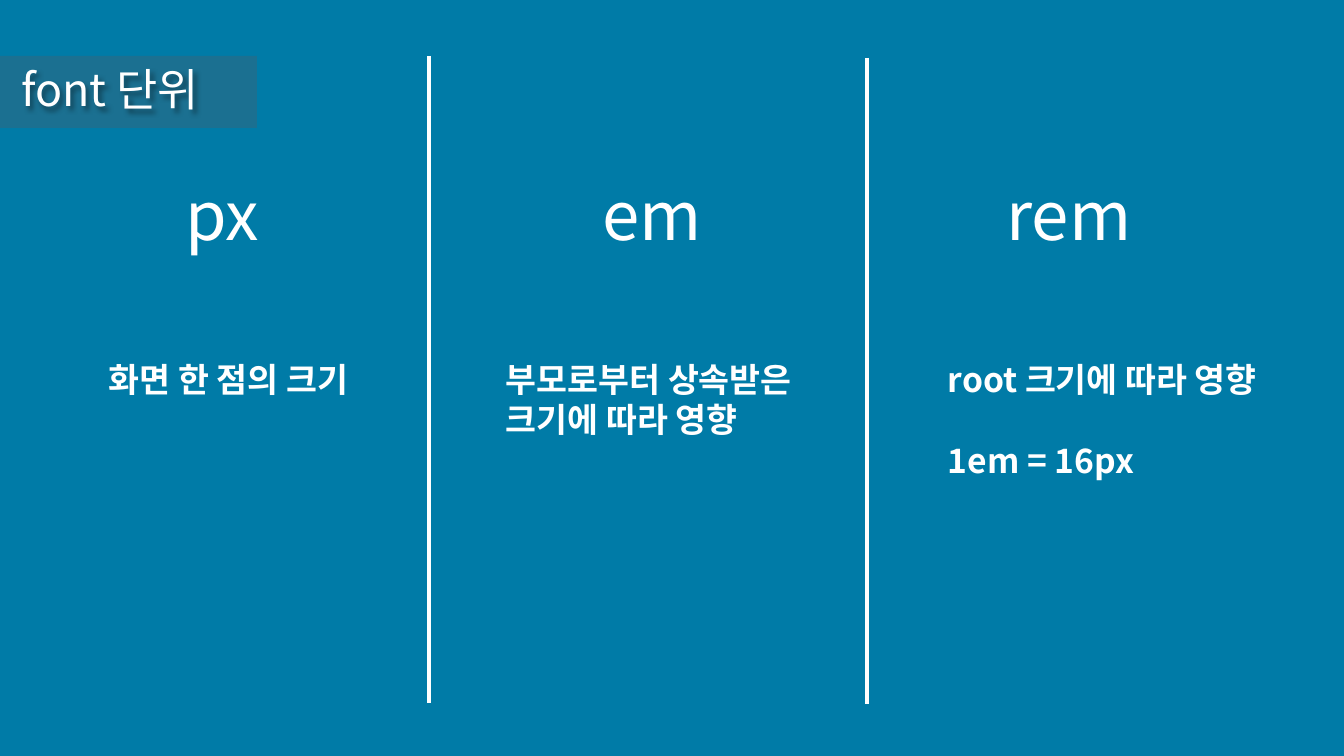
from lxml import etree
from pptx import Presentation
from pptx.dml.color import RGBColor
from pptx.enum.shapes import MSO_CONNECTOR, MSO_SHAPE
from pptx.enum.text import MSO_ANCHOR, PP_ALIGN
from pptx.oxml.ns import qn
from pptx.util import Pt

RECTANGLE = MSO_SHAPE.RECTANGLE
STRAIGHT = MSO_CONNECTOR.STRAIGHT
TOP = MSO_ANCHOR.TOP
LEFT, CENTER = PP_ALIGN.LEFT, PP_ALIGN.CENTER

WIDTH, HEIGHT = 1344, 756
EMU_PER_PX = 12192000 / WIDTH
FONT = "Noto Sans CJK KR"
WHITE = "FFFFFF"


def px(*lengths):
    return [round(length * EMU_PER_PX) for length in lengths]


def write(shape, lines, size, bold=False, align=LEFT, gap=0):
    frame = shape.text_frame
    frame.word_wrap = True
    frame.vertical_anchor = TOP
    frame.text = "\n".join(lines)
    for index, paragraph in enumerate(frame.paragraphs):
        paragraph.alignment = align
        if index:
            paragraph.space_before = Pt(gap)
        font = paragraph.font
        font.size, font.bold, font.name = Pt(size), bold, FONT
        font.color.rgb = RGBColor.from_string(WHITE)
        etree.SubElement(font._element, qn("a:ea"), typeface=FONT)


presentation = Presentation()
presentation.slide_width, presentation.slide_height = px(WIDTH, HEIGHT)
slide = presentation.slides.add_slide(presentation.slide_layouts[5])
slide.background.fill.solid()
slide.background.fill.fore_color.rgb = RGBColor.from_string("007BA7")

# Translucent band behind the title
band = slide.shapes.add_shape(RECTANGLE, *px(0, 56, 257, 72))
band.shadow.inherit = False
band.line.fill.background()
band.fill.solid()
band.fill.fore_color.rgb = RGBColor.from_string("615758")
band_color = band.fill._xPr.find(".//" + qn("a:srgbClr"))
etree.SubElement(band_color, qn("a:alpha"), val="28000")

# Title with a soft shadow, moved in front of the band
title = slide.shapes.title
title.left, title.top, title.width, title.height = px(11, 57, 399, 65)
write(title, ["font 단위"], 32)
effects = etree.SubElement(title._element.spPr, qn("a:effectLst"))
shadow = etree.SubElement(effects, qn("a:outerShdw"), blurRad="50800", dist="38100", dir="2700000")
shadow_color = etree.SubElement(shadow, qn("a:srgbClr"), val="000000")
etree.SubElement(shadow_color, qn("a:alpha"), val="40000")
band._element.addnext(title._element)

# Unit columns: name, name left, description left, description lines, paragraph gap
columns = [
    ("px", 91, 99, ["화면 한 점의 크기"], 0),
    ("em", 521, 496, ["부모로부터 상속받은", "크기에 따라 영향"], 0),
    ("rem", 938, 938, ["root 크기에 따라 영향", "1em = 16px"], 29),
]
for name, name_left, text_left, lines, gap in columns:
    heading = slide.shapes.add_textbox(*px(name_left, 168, 262, 92))
    write(heading, [name], 48, align=CENTER)
    description = slide.shapes.add_textbox(*px(text_left, 354, 382, 50))
    write(description, lines, 24, bold=True, gap=gap)

# Column dividers
for x, top, bottom in [(429, 56, 703), (867, 58, 704)]:
    divider = slide.shapes.add_connector(STRAIGHT, *px(x, top, x, bottom))
    divider.line.color.rgb = RGBColor.from_string(WHITE)
    divider.line.width = Pt(3)
    etree.SubElement(divider._element.spPr, qn("a:effectLst"))

presentation.save("out.pptx")
